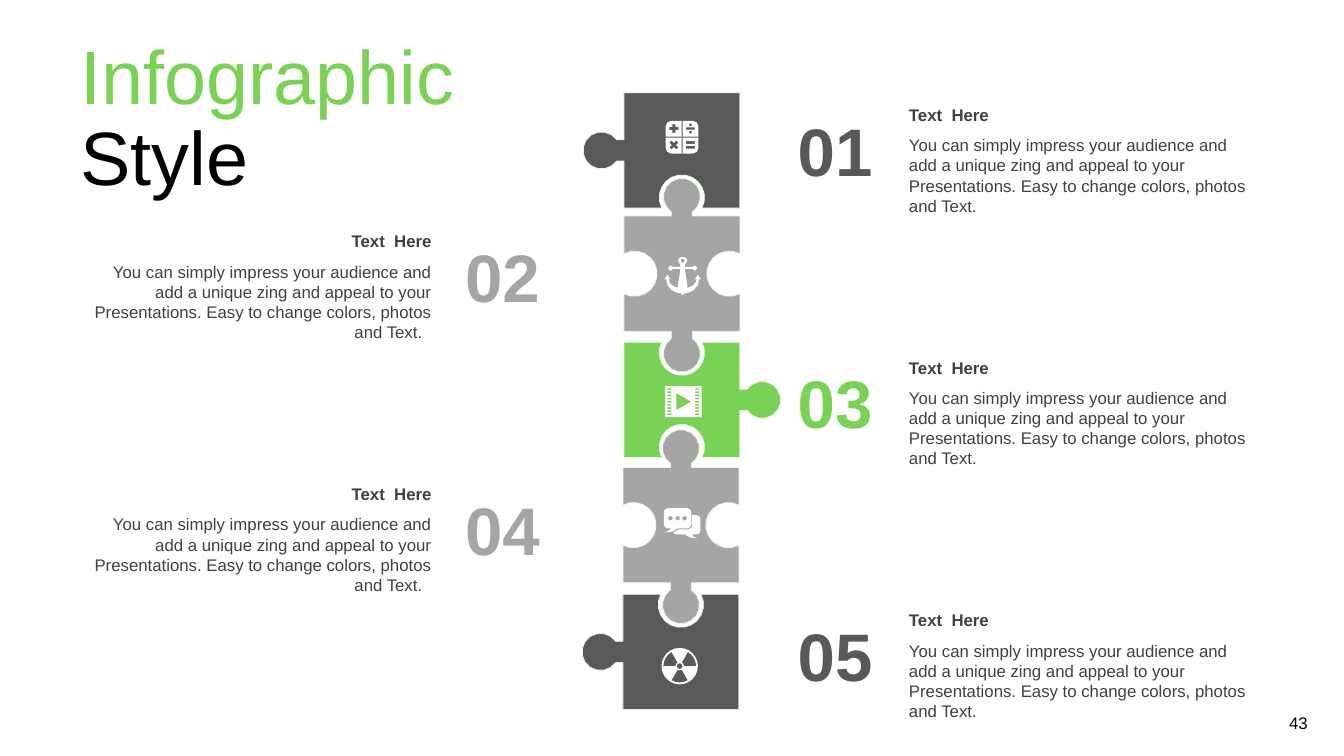
from math import acos, asin, cos, pi, radians, sin

from lxml import etree
from pptx import Presentation
from pptx.dml.color import RGBColor
from pptx.enum.text import MSO_ANCHOR, MSO_AUTO_SIZE, PP_ALIGN
from pptx.oxml.ns import qn
from pptx.util import Pt

LEFT, CENTER, RIGHT = PP_ALIGN.LEFT, PP_ALIGN.CENTER, PP_ALIGN.RIGHT
MIDDLE = MSO_ANCHOR.MIDDLE
FIT_SHAPE, NO_FIT = MSO_AUTO_SIZE.SHAPE_TO_FIT_TEXT, MSO_AUTO_SIZE.NONE

FONT = "Arial"
DARK, GRAY, GREEN = "595959", "A5A5A5", "79D155"
WHITE, BLACK, TEXT, EDGE = "FFFFFF", "000000", "404040", "E5FAE1"
HEADING = "Text  Here"
BODY = ("You can simply impress your audience and add a unique zing and appeal to your "
        "Presentations. Easy to change colors, photos and Text.")

# Puzzle measures
PIECE_W, PIECE_H = 82.8, 82.3
KNOB_R, NECK, SOCKET_R, SOCKET_DEPTH = 13.2, 7.5, 16.2, 7.5
KNOB_REACH = {"knob": 16, "short knob": 13.8}

# Text rows
ROW_TOP, ROW_PITCH = 71.3, 90.25


def rgb(color):
    return RGBColor.from_string(color)


# Outlines, as lists of points

def arc(cx, cy, r, start, end, steps):
    angles = [start + (end - start) * i / steps for i in range(steps + 1)]
    return [(cx + r * cos(a), cy + r * sin(a)) for a in angles]


def disc(cx, cy, r, steps=7):
    return arc(cx, cy, r, 0, 2 * pi, steps)[:-1]


def box(x, y, w, h):
    return [(x, y), (x + w, y), (x + w, y + h), (x, y + h)]


def round_box(x, y, w, h, r):
    corners = box(x + r, y + r, w - 2 * r, h - 2 * r)
    return [pt for i, (cx, cy) in enumerate(corners)
            for pt in arc(cx, cy, r, pi + i * pi / 2, pi + (i + 1) * pi / 2, 2)]


def cross(cx, cy, a, t, turn=0):
    pts = [(-t, -a), (t, -a), (t, -t), (a, -t), (a, t), (t, t),
           (t, a), (-t, a), (-t, t), (-a, t), (-a, -t), (-t, -t)]
    c, s = cos(turn), sin(turn)
    return [(cx + x * c - y * s, cy + x * s + y * c) for x, y in pts]


def side_profile(kind):
    """Points of a piece's side: (distance along from its middle, distance outward)."""
    if kind == "flat":
        return []
    if kind == "socket":
        r, centre = SOCKET_R, -SOCKET_DEPTH
        start = -acos(SOCKET_DEPTH / r)
        end = -2 * pi - start
    else:
        r, centre = KNOB_R, KNOB_REACH[kind]
        end = pi - asin(NECK / r)
        start = -end
    curve = [(y, x) for x, y in arc(centre, 0, r, start, end, 13)]
    return curve if kind == "socket" else [(-NECK, 0), *curve, (NECK, 0)]


def piece_outline(x, y, sides):
    """Clockwise outline; sides are given as top, right, bottom, left."""
    corners = box(x, y, PIECE_W, PIECE_H)
    directions = [(1, 0), (0, 1), (-1, 0), (0, -1)]
    pts = []
    for i, (kind, (dx, dy)) in enumerate(zip(sides, directions)):
        (x1, y1), (x2, y2) = corners[i], corners[(i + 1) % 4]
        mx, my = (x1 + x2) / 2, (y1 + y2) / 2
        pts.append((x1, y1))
        pts += [(mx + t * dx + n * dy, my + t * dy - n * dx) for t, n in side_profile(kind)]
    return pts


# Icons, each a list of outlines; inner ones are holes

def calculator():
    return [round_box(0, 0, 23.4, 23.4, 4),
            box(11.35, 0, 0.7, 23.4), box(0, 11.35, 11.35, 0.7), box(12.05, 11.35, 11.35, 0.7),
            cross(5.9, 5.5, 3.2, 1.1), cross(5.9, 17.3, 3.5, 1.1, pi / 4),
            box(14.4, 4.7, 6.5, 1.6), disc(17.7, 2.9, 1.1), disc(17.7, 8.1, 1.1),
            box(14.4, 14.6, 6.5, 1.9), box(14.4, 17.9, 6.5, 1.9)]


def anchor():
    half = [(0, 0), (2.3, 0.7), (3.3, 2.9), (1.6, 5.8), (1.6, 7.2), (7, 7.2),
            (8.8, 6.3), (10.6, 8.2), (8.8, 10.1), (7, 8.7), (1.6, 8.7), (3.6, 22.3),
            (7, 20.8), (9.3, 18.5), (10.1, 15.8), (8.6, 16.2), (10.8, 13), (13.2, 16.2),
            (11.7, 15.9), (10.9, 20.2), (8, 23.8), (3.8, 25.8), (1.5, 26), (0, 27.6)]
    mirrored = [(-x, y) for x, y in half[-2:0:-1]]
    return [[(13.2 + x, y) for x, y in half + mirrored], disc(13.2, 2.9, 1.45)]


def film():
    holes = [box(x, 1.5 + 2.25 * i, 2.9, 1.2) for i in range(9) for x in (1.6, 21.4)]
    return [box(0, 0, 26, 22), [(8, 4.9), (8, 17.1), (18.7, 11)], *holes]


def chat():
    tail = [(10, 14.4), (5.8, 14.4), (3.6, 16), (0.7, 17.3), (5.5, 16.8)]
    back = [(20.2, 5), (23.5, 5), (25.3, 5.8), (26, 7.5), (26, 16), (25.3, 18), (23.5, 18.7),
            (20.2, 18.7), (21, 20.3), (23.8, 21.6), (19, 21), (15, 18.7), (8.5, 18.7),
            (6.5, 17.3), (10.8, 15.1), (17.3, 15.1), (19.5, 14.2), (20.2, 12.5)]
    return [round_box(0, 0, 19.6, 14.4, 2.8), tail, back,
            *(disc(x, 7.2, 1.7) for x in (4.8, 9.9, 14.8))]


def radiation():
    blades = [arc(13, 13, 11.7, radians(a - 30), radians(a + 30), 4)
              + arc(13, 13, 3, radians(a + 30), radians(a - 30), 2) for a in (90, 210, 330)]
    return [disc(13, 13, 13, 24), disc(13, 13, 2.1), *blades]


# Slide elements

def add_outline(shapes, contours, fill, line=None, x=0, y=0):
    builder = None
    for contour in contours:
        pts = [(Pt(x + px), Pt(y + py)) for px, py in contour]
        if builder is None:
            builder = shapes.build_freeform(*pts[0])
        else:
            builder.move_to(*pts[0])
        builder.add_line_segments(pts[1:], close=True)
    sp = builder.convert_to_shape()
    sp.shadow.inherit = False
    sp.fill.solid()
    sp.fill.fore_color.rgb = rgb(fill)
    if line:
        sp.line.color.rgb = rgb(line)
        sp.line.width = Pt(0.5)
    else:
        sp.line.fill.background()


def format_run(r, size, color, bold=False):
    r.font.name, r.font.size, r.font.bold = FONT, Pt(size), bold
    r.font.color.rgb = rgb(color)


def add_text(shapes, x, y, w, h, text, size, color, align=LEFT, bold=False, wrap=True):
    tf = shapes.add_textbox(Pt(x), Pt(y), Pt(w), Pt(h)).text_frame
    tf.word_wrap, tf.auto_size = wrap, FIT_SHAPE
    tf.text = text
    p = tf.paragraphs[0]
    p.alignment = align
    format_run(p.runs[0], size, color, bold)
    return p.runs[0]


def add_number(shapes, x, y, text, color):
    r = add_text(shapes, x, y, 75.6, 65.5, text, 48, color, CENTER, True)
    ln = etree.Element(qn("a:ln"), w=str(Pt(1)))
    fill = etree.SubElement(ln, qn("a:solidFill"))
    etree.SubElement(fill, qn("a:srgbClr"), val=WHITE)
    r._r.get_or_add_rPr().insert(0, ln)


def add_caption(shapes, x, y, body, align):
    g = shapes.add_group_shape()
    add_text(g.shapes, x, y + 21.6, 265, 51, body, 12, TEXT, align)
    add_text(g.shapes, x, y, 265, 21.6, HEADING, 12, TEXT, align, True)


def format_title(title):
    title.left, title.top, title.width, title.height = Pt(50.4), Pt(26.6), Pt(305.3), Pt(118.8)
    tf = title.text_frame
    tf.word_wrap, tf.auto_size, tf.vertical_anchor = True, NO_FIT, MIDDLE
    p = tf.paragraphs[0]
    p.alignment, p.line_spacing, p.space_before = LEFT, 0.9, Pt(10)
    for text, color in (("Infographic", GREEN), (" Style", BLACK)):
        r = p.add_run()
        r.text = text
        format_run(r, 54, color)


def main():
    prs = Presentation()
    prs.slide_width, prs.slide_height = Pt(960), Pt(540)
    s = prs.slides.add_slide(prs.slide_layouts[5])
    format_title(s.shapes.title)
    add_text(s.shapes, 913.7, 505.4, 29.5, 21.6, "43", 12, BLACK, wrap=False)

    # Pieces: colour, left, top, sides (top, right, bottom, left), icon and its place
    link_sides = ("short knob", "socket", "knob", "socket")
    pieces = [
        (DARK, 445.7, 66.3, ("flat", "flat", "socket", "knob"), calculator, 475.5, 86.3),
        (GRAY, 445.7, 154.4, link_sides, anchor, 474.4, 183.4),
        (GREEN, 445.7, 244.5, ("socket", "knob", "socket", "flat"), film, 475.1, 275.9),
        (GRAY, 445, 334, link_sides, chat, 474.2, 363),
        (DARK, 445, 424.5, ("socket", "flat", "flat", "knob"), radiation, 472.5, 462.8),
    ]
    puzzle = s.shapes.add_group_shape()
    for i, (color, x, y, sides, icon, icon_x, icon_y) in enumerate(pieces):
        add_outline(puzzle.shapes, [piece_outline(x, y, sides)], color, EDGE)
        add_outline(s.shapes, icon(), WHITE, x=icon_x, y=icon_y)

        # Number and caption, alternating right and left of the puzzle
        row = ROW_TOP + i * ROW_PITCH
        on_left = i % 2 == 1
        add_number(s.shapes, 321.1 if on_left else 558.7, row + 3, f"{i + 1:02}", color)
        if on_left:
            add_caption(s.shapes, 50.4, row, BODY + "  ", RIGHT)
        else:
            add_caption(s.shapes, 642.2, row, BODY, LEFT)

    prs.save("out.pptx")


if __name__ == "__main__":
    main()
